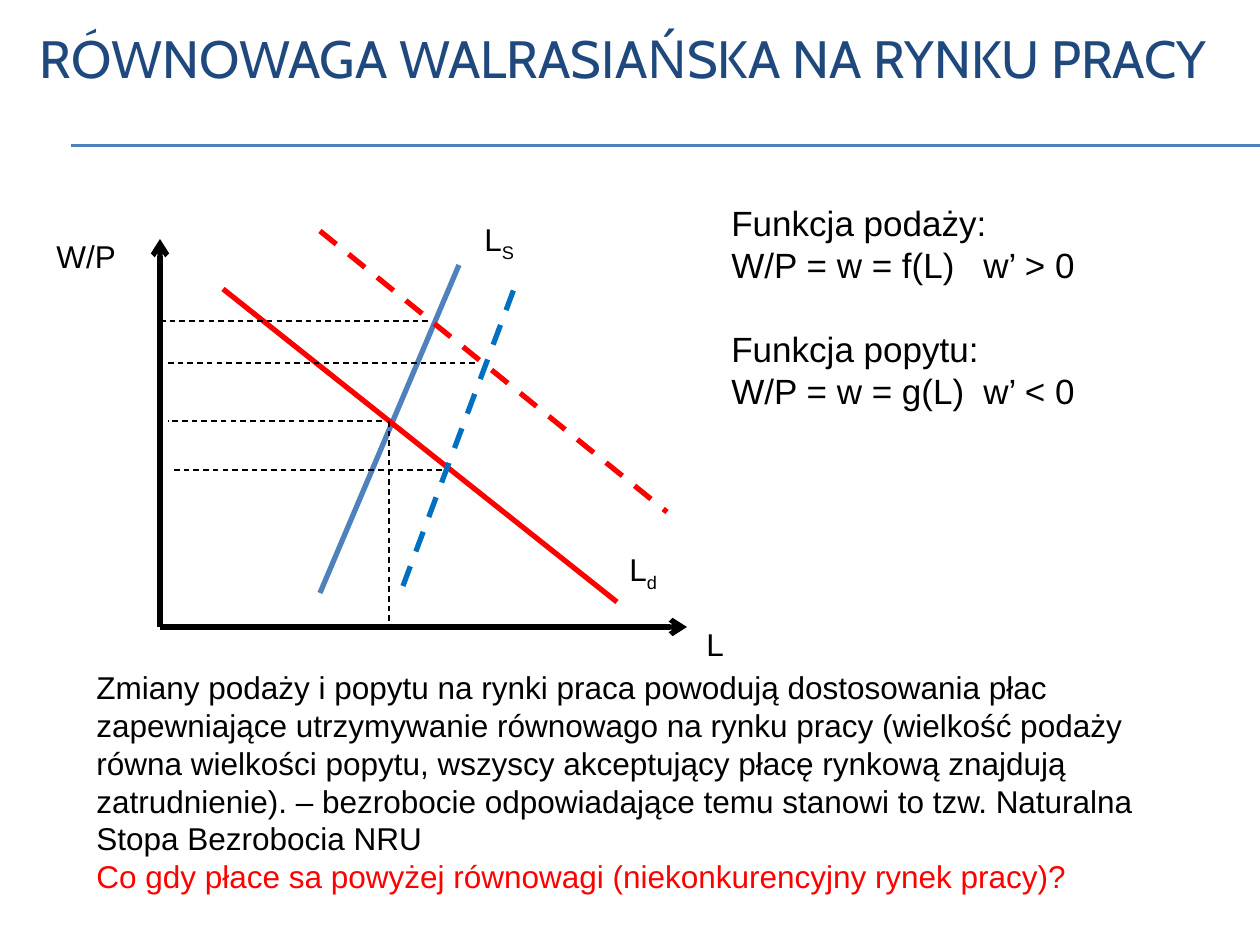
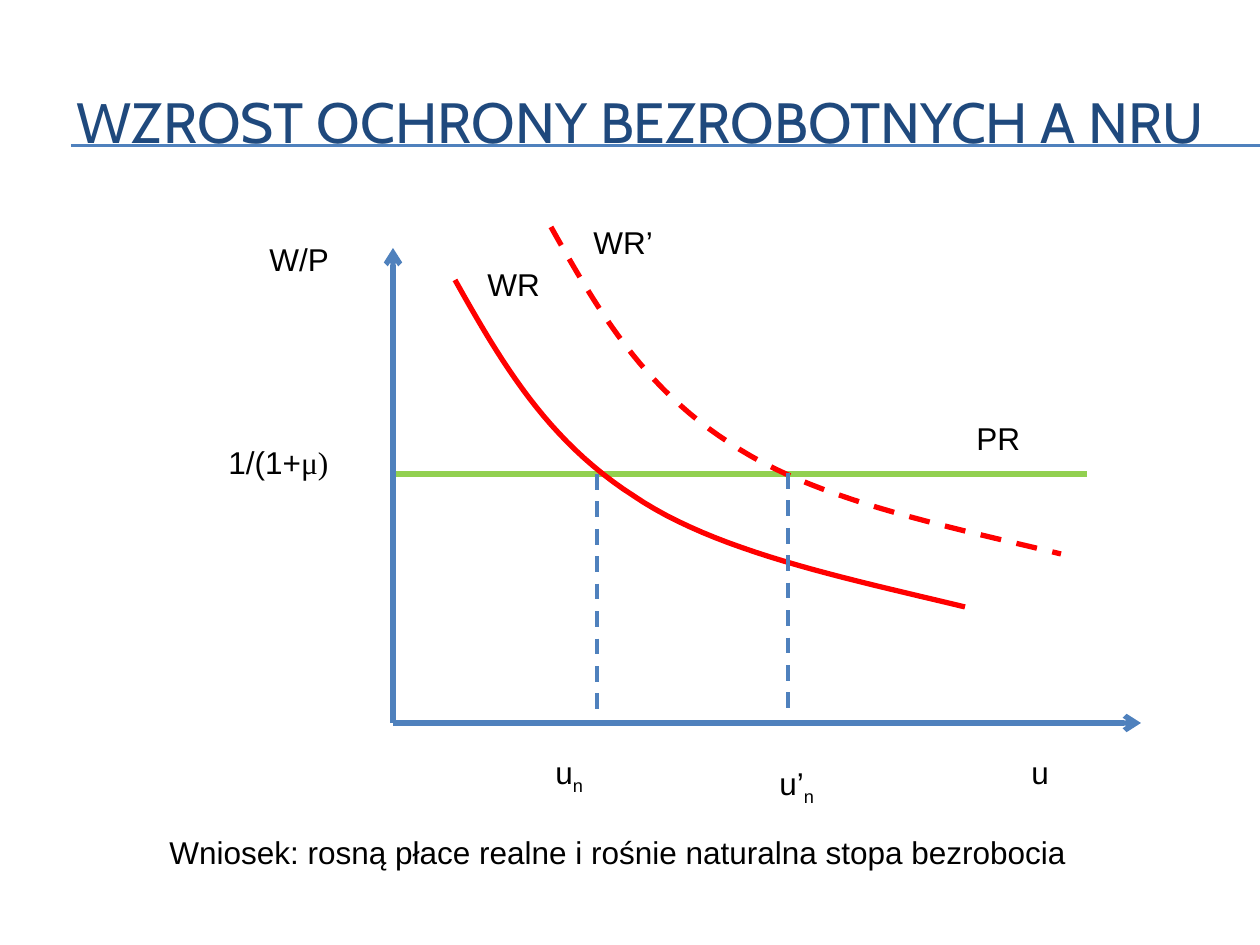
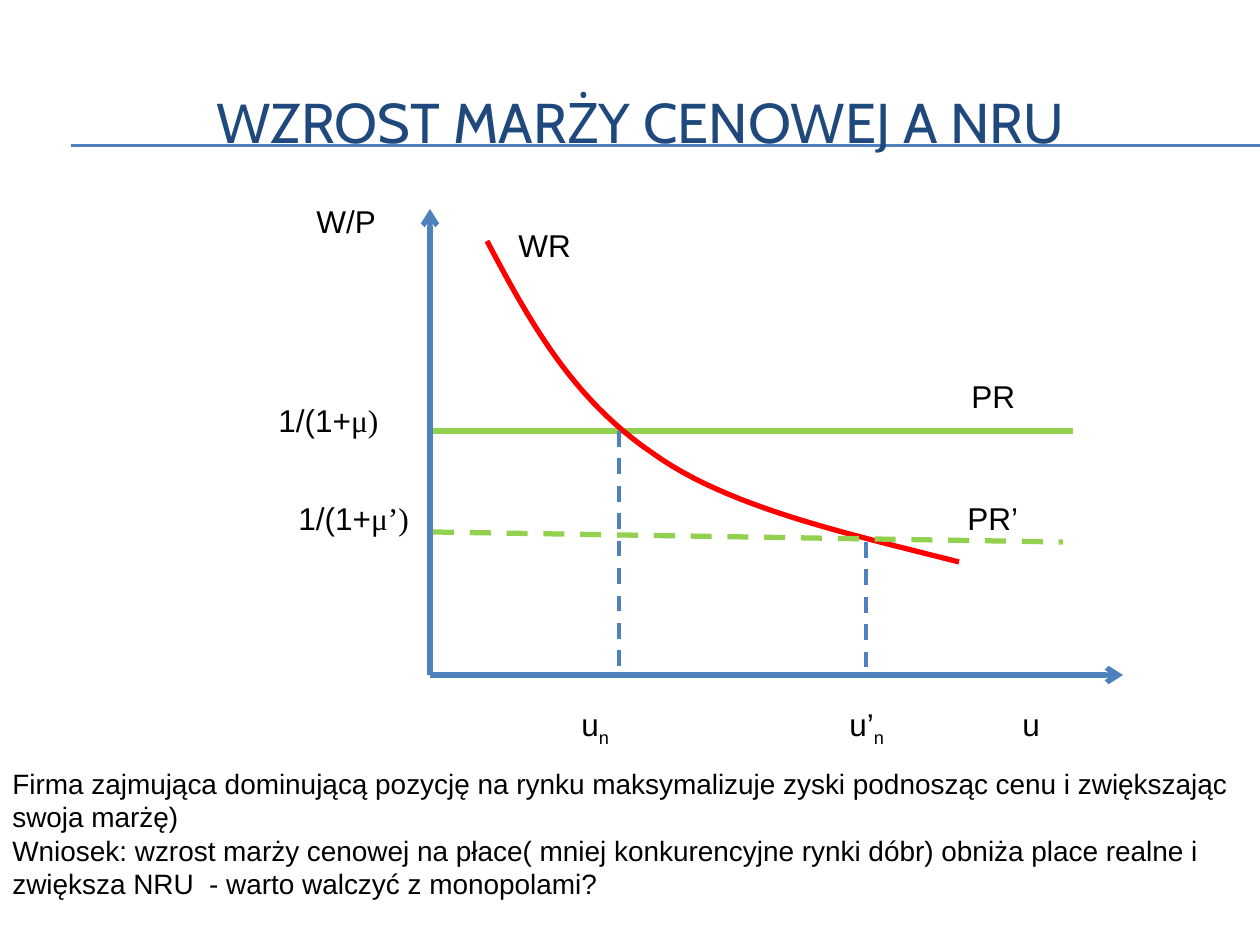
from pptx import Presentation
from pptx.dml.color import RGBColor
from pptx.enum.dml import MSO_LINE
from pptx.enum.shapes import MSO_CONNECTOR
from pptx.enum.text import MSO_ANCHOR, PP_ALIGN
from pptx.oxml.ns import qn
from pptx.util import Pt
from lxml.etree import SubElement

SCALE = 914400 / 126
BLACK = "000000"
NAVY = "1F497D"
BLUE = "4F81BD"
AZURE = "0070C0"
RED = "FF0000"
GREEN = "92D050"
SANS = "Arial"
SERIF = "Times New Roman"
HEAD = "Cabin"


def px(value):
    return round(value * SCALE)


def tint(code):
    return RGBColor.from_string(code)


def stroke(line, color, width, dash):
    line.color.rgb = tint(color)
    line.width = Pt(width)
    if dash:
        line.dash_style = MSO_LINE.DASH


def wire(slide, x1, y1, x2, y2, color, width=3, dash=False, arrow=False):
    link = slide.shapes.add_connector(
        MSO_CONNECTOR.STRAIGHT, px(x1), px(y1), px(x2), px(y2))
    stroke(link.line, color, width, dash)
    props = link._element.spPr
    SubElement(props, qn("a:effectLst"))
    if arrow:
        SubElement(props.find(qn("a:ln")), qn("a:tailEnd"), type="arrow")


def style(run, size, color=BLACK, font=SANS):
    run.font.size = Pt(size)
    run.font.name = font
    run.font.color.rgb = tint(color)


def note(slide, x, y, w, h, text, size=18, color=BLACK, font=SANS, wrap=True):
    box = slide.shapes.add_textbox(px(x), px(y), px(w), px(h))
    frame = box.text_frame
    frame.text = text
    frame.word_wrap = wrap
    for para in frame.paragraphs:
        for run in para.runs:
            style(run, size, color, font)
    return frame


def label(slide, x, y, w, text, sub="", greek="", wrap=True):
    para = note(slide, x, y, w, 50, text, wrap=wrap).paragraphs[0]
    if sub or greek:
        run = para.add_run()
        run.text = sub or greek
        style(run, 18, font=SERIF if greek else SANS)
        if sub:
            run._r.get_or_add_rPr().set("baseline", "-25000")


def curve(slide, x, y, w, h, dash=False):
    parts = [
        [(0, 0), (0.09, 0.25), (0.18, 0.49), (0.35, 0.66)],
        [(0.35, 0.66), (0.51, 0.83), (0.76, 0.91), (1, 1)],
    ]
    dots = []
    for a, b, c, d in parts:
        for step in range(1, 25):
            t = step / 24
            s = 1 - t
            dots.append(tuple(
                px(start + span * (s**3 * a[i] + 3 * s * s * t * b[i]
                                   + 3 * s * t * t * c[i] + t**3 * d[i]))
                for i, (start, span) in enumerate([(x, w), (y, h)])))
    path = slide.shapes.build_freeform(px(x), px(y))
    path.add_line_segments(dots, close=False)
    shape = path.convert_to_shape()
    shape.shadow.inherit = False
    shape.fill.background()
    stroke(shape.line, RED, 3, dash)


def page(deck, title, x=42, y=63, size=32):
    slide = deck.slides.add_slide(deck.slide_layouts[6])
    for rule in (145, 146):
        wire(slide, 71, rule, 1260, rule, BLUE, 0.75)
    frame = note(slide, x, y, 1197, 116, title, size, NAVY, HEAD)
    frame.vertical_anchor = MSO_ANCHOR.MIDDLE
    frame.paragraphs[0].alignment = PP_ALIGN.CENTER
    return slide


def axes(slide, x, y, top, right, color):
    wire(slide, x, y, x, top, color, arrow=True)
    wire(slide, x, y, right, y, color, arrow=True)


def wages(slide, left, base, wide=1, tall=1):
    def at(x, y):
        return round(left + x * wide), round(base + y * tall)

    def tag(x, y, w, *args, **more):
        label(slide, *at(x, y), round(w * wide), *args, **more)

    wire(slide, *at(0, -244), *at(643, -244), GREEN)
    right, top = at(693, -466)
    axes(slide, left, base, top, right, BLUE)
    curve(slide, *at(57, -434), round(472 * wide), round(321 * tall))
    tag(-126, -479, 126, "W/P")
    tag(580, 24, 113, "u")
    tag(-164, -280, 176, "1/(1+", greek="μ)")
    tag(76, -455, 139, "WR")
    wire(slide, *at(189, -244), *at(189, 0), BLUE, 2.25, True)
    tag(139, 24, 101, "u", sub="n")
    tag(529, -304, 90, "PR", wrap=False)


def market(deck):
    slide = page(deck, "RÓWNOWAGA WALRASIAŃSKA NA RYNKU PRACY", 25, 0, 30)
    axes(slide, 160, 627, 239, 687, BLACK)
    wire(slide, 320, 593, 459, 265, BLUE)
    wire(slide, 223, 289, 617, 602, RED)
    label(slide, 44, 231, 102, "W/P")
    label(slide, 694, 619, 55, "L")
    label(slide, 472, 214, 68, "L", sub="S")
    label(slide, 617, 544, 62, "L", sub="d")
    wire(slide, 320, 231, 667, 512, RED, dash=True)
    wire(slide, 403, 586, 514, 289, AZURE, dash=True)
    wire(slide, 389, 421, 389, 627, BLACK, 0.79, True)
    for x1, x2, y in [(382, 168, 421), (174, 445, 470),
                      (160, 431, 321), (168, 479, 363)]:
        wire(slide, x1, y, x2, y, BLACK, 0.79, True)
    frame = note(
        slide, 84, 662, 1101, 242,
        "Zmiany podaży i popytu na rynki praca powodują dostosowania płac "
        "zapewniające utrzymywanie równowago na rynku pracy (wielkość podaży "
        "równa wielkości popytu, wszyscy akceptujący płacę rynkową znajdują "
        "zatrudnienie). – bezrobocie odpowiadające temu stanowi to tzw. "
        "Naturalna Stopa Bezrobocia NRU\n"
        "Co gdy płace sa powyżej równowagi (niekonkurencyjny rynek pracy)?")
    frame.paragraphs[1].runs[0].font.color.rgb = tint(RED)
    frame = note(
        slide, 719, 195, 507, 267,
        "Funkcja podaży:\nW/P = w = f(L) \tw’ > 0\n"
        "Funkcja popytu:\nW/P = w = g(L) \tw’ < 0", 20)
    frame.paragraphs[2].space_before = Pt(24)


def shield(deck):
    slide = page(deck, "WZROST OCHRONY BEZROBOTNYCH A NRU", size=32.4)
    wages(slide, 393, 723, 1.08, 1.02)
    curve(slide, 551, 227, 510, 327, True)
    label(slide, 581, 217, 88, "WR’")
    wire(slide, 788, 473, 788, 718, BLUE, 2.25, True)
    label(slide, 767, 758, 69, "u’", sub="n")
    note(slide, 157, 827, 974, 50,
         "Wniosek: rosną płace realne i rośnie naturalna stopa bezrobocia")


def markup(deck):
    slide = page(deck, "WZROST MARŻY CENOWEJ A NRU")
    wages(slide, 430, 675)
    wire(slide, 433, 532, 1063, 542, GREEN, dash=True)
    label(slide, 955, 493, 88, "PR’")
    wire(slide, 866, 542, 866, 669, BLUE, 2.25, True)
    label(slide, 837, 699, 79, "u’", sub="n")
    note(slide, 0, 760, 1260, 149,
         "Firma zajmująca dominującą pozycję na rynku maksymalizuje zyski "
         "podnosząc cenu i zwiększając swoja marżę)\n"
         "Wniosek: wzrost marży cenowej na płace( mniej konkurencyjne rynki "
         "dóbr) obniża place realne i zwiększa NRU  - warto walczyć z "
         "monopolami?", 16)
    label(slide, 286, 493, 176, "1/(1+", greek="μ’)")


def main():
    deck = Presentation()
    deck.slide_width = px(1260)
    deck.slide_height = px(945)
    market(deck)
    shield(deck)
    markup(deck)
    deck.save("out.pptx")


if __name__ == "__main__":
    main()
